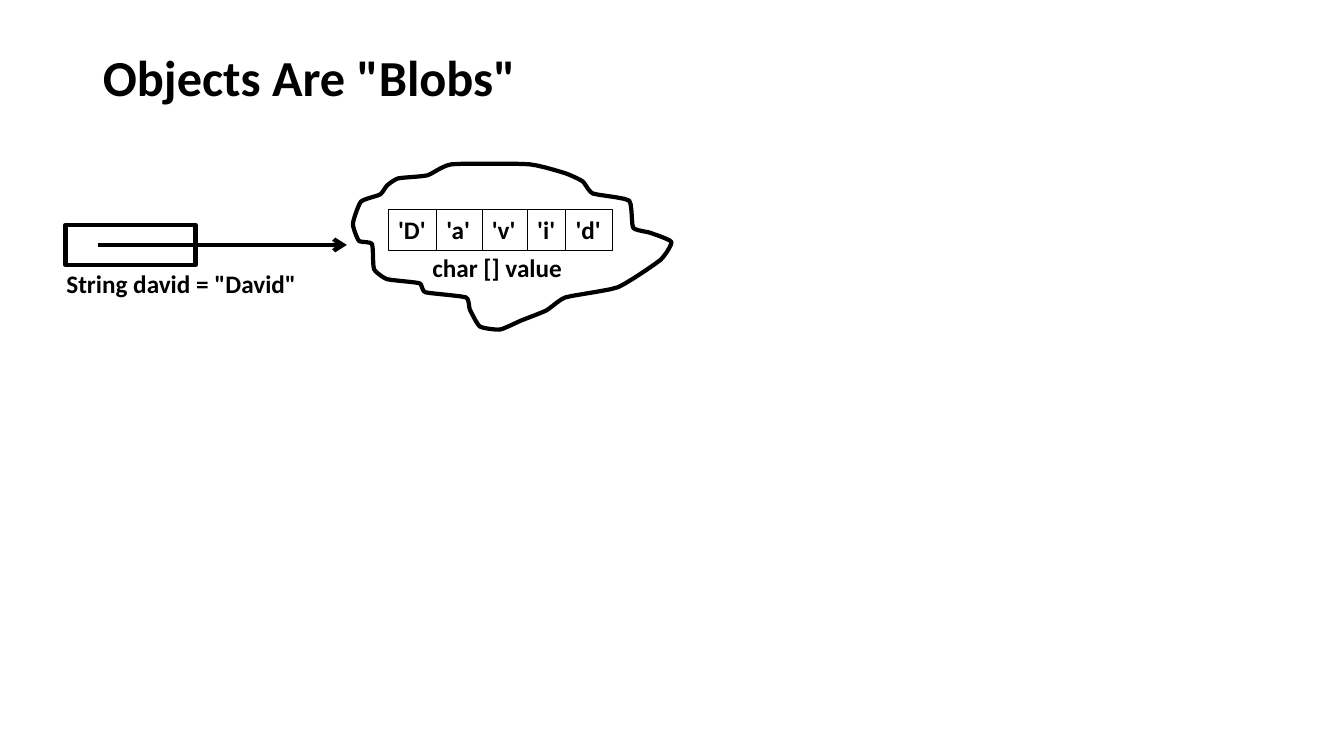
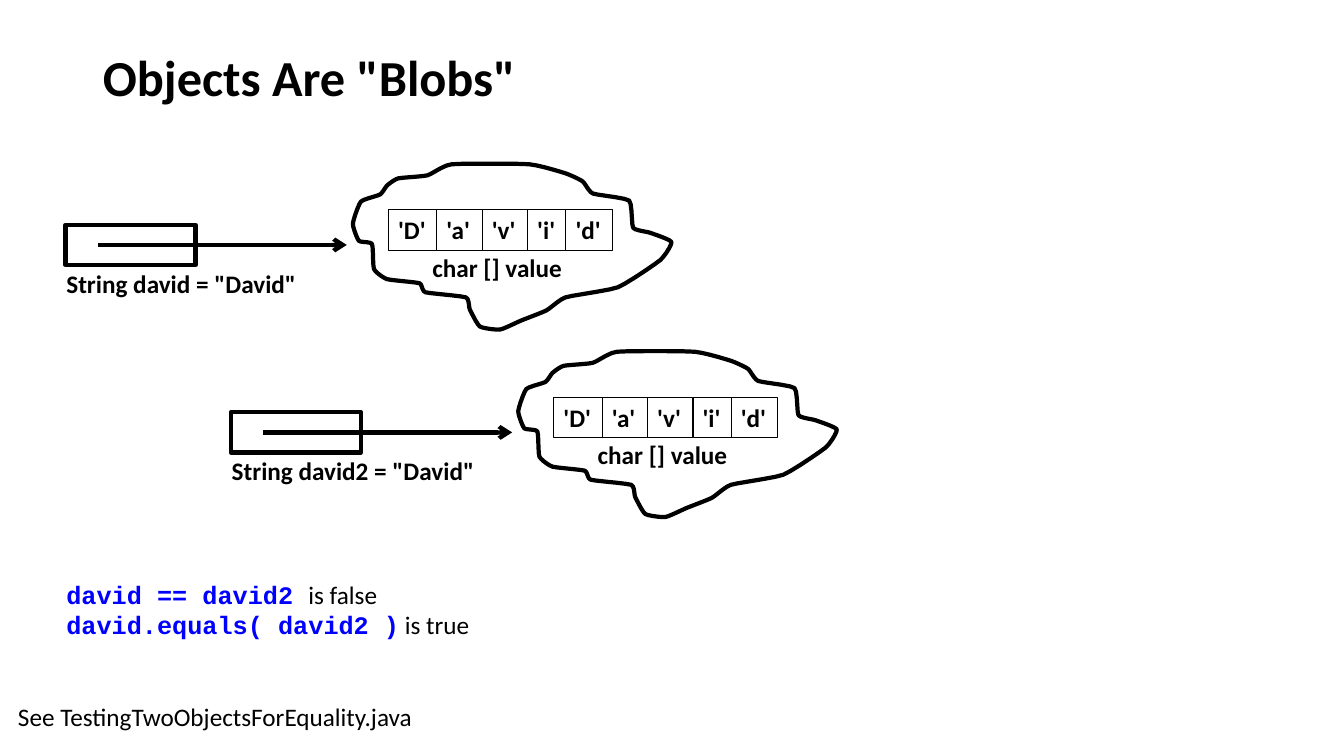
from lxml.etree import SubElement
from pptx import Presentation
from pptx.dml.color import RGBColor
from pptx.enum.shapes import MSO_CONNECTOR as Connector, MSO_SHAPE as Shape
from pptx.enum.text import MSO_ANCHOR as Anchor, MSO_AUTO_SIZE as AutoSize, PP_ALIGN as Align
from pptx.oxml.ns import qn
from pptx.util import Inches, Pt

BLACK = RGBColor(0x00, 0x00, 0x00)
CODE_BLUE = RGBColor(0x00, 0x00, 0xFF)
BODY_FONT = "Calibri"
CODE_FONT = "Courier New"
BODY_SIZE = 18
TITLE = 'Objects Are "Blobs"'
HEAVY, HAIRLINE = 3, 0.25  # line weights in points

# Parts of one object diagram, in inches from its top left corner
ROW_HEIGHT = 0.4
VARIABLE_LEFT, VARIABLE_TOP, VARIABLE_WIDTH = 0.09, 0.61, 1.29
ARROW_START, ARROW_END = 0.41, 2.88
DECLARATION_TOP = 0.99
BLOB_LEFT = 2.94
ARRAY_LEFT, ARRAY_TOP = 3.29, 0.46
VALUE_LEFT, VALUE_TOP, VALUE_WIDTH = 3.63, 0.83, 1.53

# Cells of the character array: each letter with its width
CELL_WIDTHS = {"D": 0.48, "a": 0.45, "v": 0.45, "i": 0.38, "d": 0.46}

# Bends of the blob, clockwise, in inches from its top left corner
CROWN = [(0.45, 0.15), (0.74, 0.12), (0.98, 0.01), (1.75, 0.01),
         (2.11, 0.1), (2.28, 0.18), (2.38, 0.3)]
NOSE = [(2.74, 0.37), (2.78, 0.64), (2.95, 0.69), (3.16, 0.78), (3.05, 0.96), (2.63, 1.23)]
DRIP = [(2.11, 1.33), (1.92, 1.46), (1.67, 1.56), (1.46, 1.65),
        (1.26, 1.62), (1.16, 1.45), (1.12, 1.33)]
BACK = [(0.72, 1.28), (0.66, 1.19), (0.34, 1.15), (0.21, 1.05), (0.19, 0.8),
        (0.06, 0.77), (0, 0.6), (0.08, 0.38), (0.27, 0.31), (0.34, 0.22)]
BLOB_BENDS = CROWN + NOSE + DRIP + BACK
ROUNDNESS = 0.25  # 0 gives straight sides between bends
STEPS = 5  # line segments between two bends


def style_font(font, size=BODY_SIZE, bold=False, name=BODY_FONT, color=BLACK):
    """Set the face, size, weight and colour of a font."""
    font.name, font.size, font.bold = name, Pt(size), bold
    font.color.rgb = color


def fit_frame(frame):
    """Let a text frame keep its lines whole and fit its shape to them."""
    frame.word_wrap = False
    frame.auto_size = AutoSize.SHAPE_TO_FIT_TEXT
    frame.vertical_anchor = Anchor.TOP


def write_line(frame, text, bold):
    """Write one left-aligned line into a text frame."""
    fit_frame(frame)
    line = frame.paragraphs[0]
    line.text, line.alignment = text, Align.LEFT
    style_font(line.font, bold=bold)


def add_label(shapes, text, left, top, width, bold=True):
    """Add a one-line text box."""
    label = shapes.add_textbox(Inches(left), Inches(top), Inches(width), Inches(ROW_HEIGHT))
    write_line(label.text_frame, text, bold)


def outline(shape, weight):
    """Leave a shape hollow with a black outline."""
    shape.shadow.inherit = False
    shape.fill.background()
    shape.line.color.rgb = BLACK
    shape.line.width = Pt(weight)


def add_box(shapes, left, top, width, weight):
    """Add a hollow rectangle of the common row height."""
    box = shapes.add_shape(Shape.RECTANGLE, Inches(left), Inches(top),
                           Inches(width), Inches(ROW_HEIGHT))
    outline(box, weight)
    return box


def add_arrow(shapes, left, right, y):
    """Add a horizontal reference arrow."""
    arrow = shapes.add_connector(Connector.STRAIGHT, Inches(left), Inches(y),
                                 Inches(right), Inches(y))
    arrow.line.color.rgb = BLACK
    arrow.line.width = Pt(HEAVY)
    properties = arrow._element.spPr
    SubElement(properties.find(qn("a:ln")), qn("a:tailEnd"), type="arrow")
    SubElement(properties, qn("a:effectLst"))


def blend(before, start, end, after, t):
    """Return one coordinate at share t of a cardinal spline from start to end."""
    leaving, arriving = ROUNDNESS * (end - before), ROUNDNESS * (after - start)
    return ((2 * t**3 - 3 * t**2 + 1) * start + (t**3 - 2 * t**2 + t) * leaving
            + (3 * t**2 - 2 * t**3) * end + (t**3 - t**2) * arriving)


def round_bends(bends):
    """Return the points of a closed smooth curve through all bends."""
    curve = []
    for i in range(len(bends)):
        neighbours = [bends[(i + shift) % len(bends)] for shift in (-1, 0, 1, 2)]
        xs, ys = zip(*neighbours)
        for step in range(STEPS):
            t = step / STEPS
            curve.append((blend(*xs, t), blend(*ys, t)))
    return curve


def add_blob(shapes, left, top):
    """Draw the irregular outline of an object."""
    start, *rest = [(Inches(left + x), Inches(top + y)) for x, y in round_bends(BLOB_BENDS)]
    builder = shapes.build_freeform(*start)
    builder.add_line_segments(rest, close=True)
    outline(builder.convert_to_shape(), HEAVY)


def add_char_array(shapes, left, top):
    """Add a row of touching cells, one for each character."""
    for letter, width in CELL_WIDTHS.items():
        cell = add_box(shapes, left, top, width, HAIRLINE)
        write_line(cell.text_frame, f"'{letter}'", bold=True)
        left += width


def add_string_object(slide, declaration, left, top, declaration_width):
    """Group a variable, its reference arrow and the blob it refers to."""
    shapes = slide.shapes.add_group_shape().shapes
    add_box(shapes, left + VARIABLE_LEFT, top + VARIABLE_TOP, VARIABLE_WIDTH, HEAVY)
    add_arrow(shapes, left + ARROW_START, left + ARROW_END,
              top + VARIABLE_TOP + ROW_HEIGHT / 2)
    add_label(shapes, declaration, left, top + DECLARATION_TOP, declaration_width)
    add_blob(shapes, left + BLOB_LEFT, top)
    add_label(shapes, "char [] value", left + VALUE_LEFT, top + VALUE_TOP, VALUE_WIDTH)
    add_char_array(shapes, left + ARRAY_LEFT, top + ARRAY_TOP)


def add_comparisons(slide, comparisons):
    """List code expressions, each followed by its result."""
    box = slide.shapes.add_textbox(Inches(0.56), Inches(5.7), Inches(4.31), Inches(0.71))
    frame = box.text_frame
    fit_frame(frame)
    for index, (code, result) in enumerate(comparisons):
        line = frame.add_paragraph() if index else frame.paragraphs[0]
        expression, outcome = line.add_run(), line.add_run()
        expression.text, outcome.text = code, result
        style_font(expression.font, bold=True, name=CODE_FONT, color=CODE_BLUE)
        style_font(outcome.font)


def add_titled_slide(deck):
    """Add a title-only slide with the common title."""
    slide = deck.slides.add_slide(deck.slide_layouts.get_by_name("Title Only"))
    title = slide.shapes.title
    title.left, title.top = Inches(0.92), Inches(0.4)
    title.width, title.height = Inches(11.5), Inches(0.79)
    title.text_frame.vertical_anchor = Anchor.MIDDLE
    heading = title.text_frame.paragraphs[0]
    heading.text, heading.alignment, heading.line_spacing = TITLE, Align.LEFT, 0.9
    style_font(heading.font, size=36, bold=True)
    return slide


def main():
    """Build and save the deck."""
    deck = Presentation()
    deck.slide_width, deck.slide_height = Inches(13.33), Inches(7.5)

    one_object = add_titled_slide(deck)
    two_objects = add_titled_slide(deck)
    for slide in (one_object, two_objects):
        add_string_object(slide, 'String david = "David"', 0.56, 1.62, 2.58)

    add_string_object(two_objects, 'String david2 = "David"', 2.2, 3.48, 2.63)
    add_comparisons(two_objects, [("david == david2 ", "is false"),
                                  ("david.equals( david2 )", " is true")])
    add_label(two_objects.shapes, "See TestingTwoObjectsForEquality.java",
              0.08, 6.91, 4.15, bold=False)
    deck.save("out.pptx")


main()
